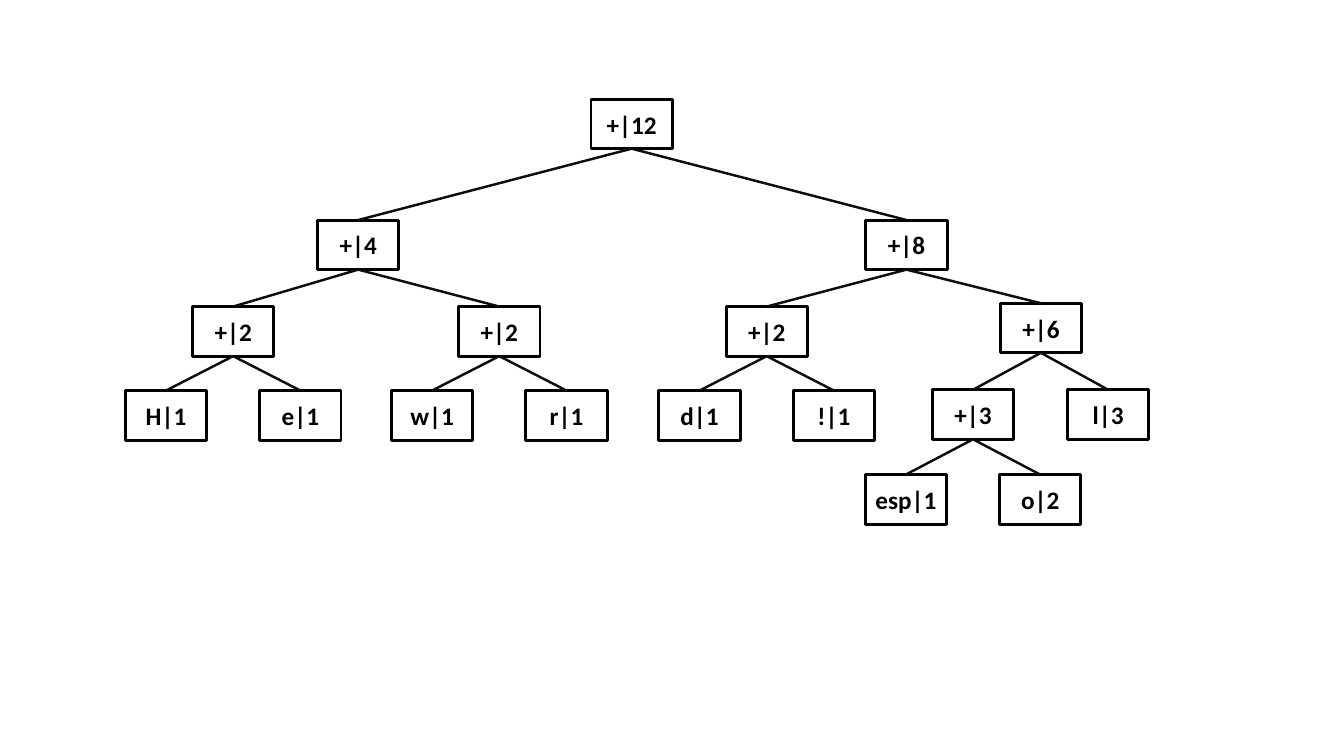
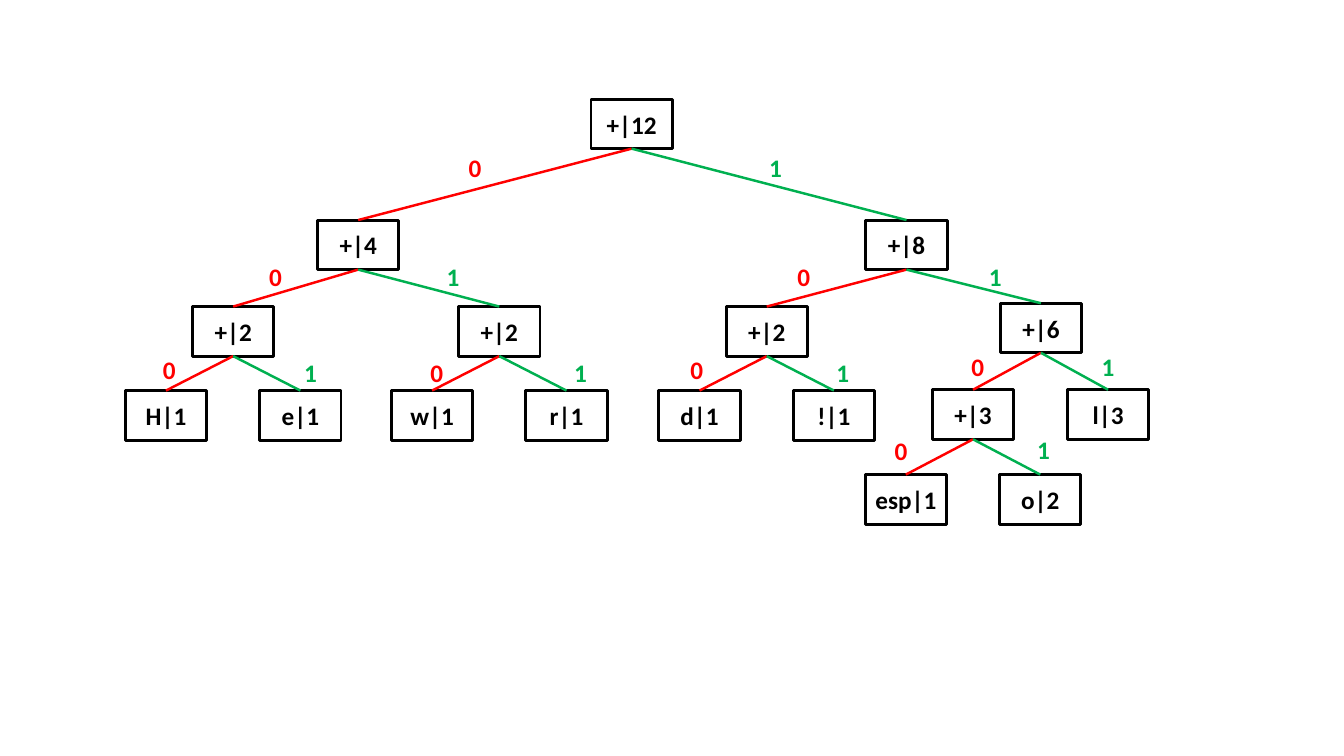
from dataclasses import dataclass

from lxml import etree
from pptx import Presentation
from pptx import util as u
from pptx.dml import color
from pptx.enum import shapes, text
from pptx.oxml import ns


@dataclass(frozen=True)
class Theme:
    font: str = "Calibri"
    size: float = 18
    ink: str = "000000"
    paper: str = "FFFFFF"
    branch: str = "0D0D0D"
    zero: str = "FF0000"
    one: str = "00B050"
    border: float = 2
    stroke: float = 1.75


@dataclass(frozen=True)
class Node:
    label: str
    column: float
    row: float
    tag_column: float = 0
    tag_row: float = 0
    children: tuple = ()


def write(frame, content, *, font, size, ink, bold=True, wrap=True,
          align=text.PP_ALIGN.CENTER, anchor=text.MSO_ANCHOR.TOP):
    frame.word_wrap = wrap
    frame.vertical_anchor = anchor
    para = frame.paragraphs[0]
    para.alignment = align
    span = para.add_run()
    span.text = content
    span.font.name = font
    span.font.size = u.Pt(size)
    span.font.bold = bold
    span.font.color.rgb = color.RGBColor.from_string(ink)


class TreeDeck:
    COLUMNS, ROWS = 20, 9
    BOX_SIZE = (1.21, 0.59)
    TAG_SIZE = (0.75, 0.48)

    def __init__(self, theme):
        self.theme = theme
        self.deck = Presentation()
        self.deck.slide_width = u.Inches(13.333)
        self.deck.slide_height = u.Inches(7.5)
        self.page = None

    def add_page(self):
        self.page = self.deck.slides.add_slide(self.deck.slide_layouts[6])

    def place(self, column, row, size):
        width, height = size
        across = self.deck.slide_width / self.COLUMNS
        down = self.deck.slide_height / self.ROWS
        return [round(length) for length in (
            (column - width / 2) * across, row * down,
            width * across, height * down)]

    def box(self, node):
        box = self.page.shapes.add_shape(
            shapes.MSO_SHAPE.RECTANGLE,
            *self.place(node.column, node.row, self.BOX_SIZE))
        box.shadow.inherit = False
        box.fill.solid()
        box.fill.fore_color.rgb = color.RGBColor.from_string(self.theme.paper)
        box.line.color.rgb = color.RGBColor.from_string(self.theme.ink)
        box.line.width = u.Pt(self.theme.border)
        write(box.text_frame, node.label, font=self.theme.font,
              size=self.theme.size, ink=self.theme.ink, wrap=False,
              anchor=text.MSO_ANCHOR.MIDDLE)
        return box

    def branch(self, parent, child, ink):
        line = self.page.shapes.add_connector(
            shapes.MSO_CONNECTOR.STRAIGHT, 0, 0, 0, 0)
        line.begin_connect(parent, 2)
        line.end_connect(child, 0)
        line.line.color.rgb = color.RGBColor.from_string(ink)
        line.line.width = u.Pt(self.theme.stroke)
        etree.SubElement(line._element.spPr, ns.qn("a:effectLst"))

    def tag(self, node, bit, ink):
        tag = self.page.shapes.add_textbox(
            *self.place(node.tag_column, node.tag_row, self.TAG_SIZE))
        write(tag.text_frame, bit, font=self.theme.font,
              size=self.theme.size, ink=ink)
        tag.text_frame.auto_size = text.MSO_AUTO_SIZE.SHAPE_TO_FIT_TEXT

    def tree(self, node, inks, tagged):
        parent = self.box(node)
        for bit, (child, ink) in enumerate(zip(node.children, inks)):
            self.branch(parent, self.tree(child, inks, tagged), ink)
            if tagged:
                self.tag(child, str(bit), ink)
        return parent


HUFFMAN_TREE = Node("+|12", 9.4, 1.18, children=(
    Node("+|4", 5.33, 2.62, 7.07, 1.75, (
        Node("+|2", 3.47, 3.65, 4.1, 3.05, (
            Node("H|1", 2.47, 4.65, 2.52, 4.16),
            Node("e|1", 4.47, 4.65, 4.62, 4.2))),
        Node("+|2", 7.43, 3.65, 6.74, 3.05, (
            Node("w|1", 6.43, 4.65, 6.5, 4.2),
            Node("r|1", 8.43, 4.65, 8.64, 4.2))))),
    Node("+|8", 13.49, 2.62, 11.54, 1.75, (
        Node("+|2", 11.41, 3.65, 11.96, 3.05, (
            Node("d|1", 10.41, 4.65, 10.37, 4.16),
            Node("!|1", 12.41, 4.65, 12.54, 4.2))),
        Node("+|6", 15.49, 3.61, 14.81, 3.05, (
            Node("+|3", 14.48, 4.64, 14.55, 4.12, (
                Node("esp|1", 13.48, 5.65, 13.41, 5.12),
                Node("o|2", 15.48, 5.65, 15.53, 5.11))),
            Node("l|3", 16.49, 4.64, 16.49, 4.12)))))))


theme = Theme()
huffman = TreeDeck(theme)
for inks, tagged in (((theme.branch, theme.branch), False),
                     ((theme.zero, theme.one), True)):
    huffman.add_page()
    huffman.tree(HUFFMAN_TREE, inks, tagged)
huffman.deck.save("out.pptx")
